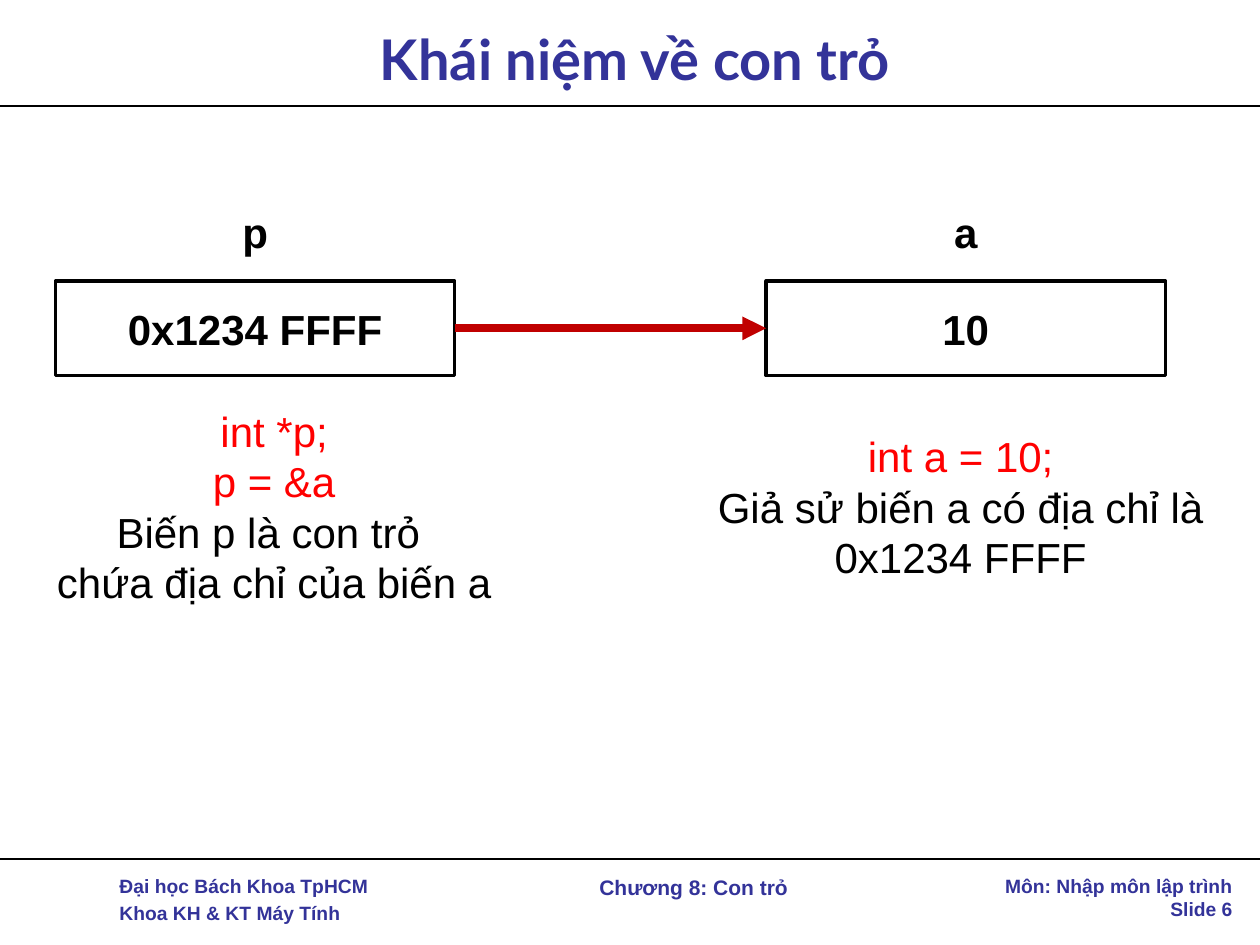
from lxml import etree
from pptx import Presentation
from pptx.dml.color import RGBColor
from pptx.enum import shapes, text
from pptx.oxml import ns
from pptx.util import Pt

BLACK = RGBColor(0x00, 0x00, 0x00)
WHITE = RGBColor(0xFF, 0xFF, 0xFF)
NAVY = RGBColor(0x33, 0x33, 0x99)
RED = RGBColor(0xFF, 0x00, 0x00)
DARK_RED = RGBColor(0xC0, 0x00, 0x00)
LEFT, CENTER, RIGHT = text.PP_ALIGN.LEFT, text.PP_ALIGN.CENTER, text.PP_ALIGN.RIGHT

presentation = Presentation()
presentation.slide_width, presentation.slide_height = Pt(720), Pt(540)
slide = presentation.slides.add_slide(presentation.slide_layouts[6])


def write(shape, lines, size, bold=True, align=CENTER, font="Arial",
          anchor=text.MSO_ANCHOR.TOP, space=0):
    """Fill a shape with one paragraph for each (wording, colour) line."""
    frame = shape.text_frame
    frame.word_wrap = True
    frame.vertical_anchor = anchor
    for index, (wording, color) in enumerate(lines):
        paragraph = frame.add_paragraph() if index else frame.paragraphs[0]
        paragraph.text = wording
        paragraph.alignment = align
        paragraph.space_before = Pt(space if index else 0)
        paragraph.font.name = font
        paragraph.font.size = Pt(size)
        paragraph.font.bold = bold
        paragraph.font.color.rgb = color


def add_line(x1, y1, x2, y2, color, width):
    line = slide.shapes.add_connector(
        shapes.MSO_CONNECTOR.STRAIGHT, Pt(x1), Pt(y1), Pt(x2), Pt(y2))
    line.line.color.rgb = color
    line.line.width = Pt(width)
    etree.SubElement(line._element.spPr, ns.qn("a:effectLst"))
    return line


# Footer
footers = [
    (61.2, 167.8, 36.7, 11, LEFT, 2.2, ["Đại học Bách Khoa TpHCM", "Khoa KH & KT Máy Tính"]),
    (563.8, 147.6, 33.8, 11, RIGHT, 0, ["Môn: Nhập môn lập trình", "Slide 6"]),
    (229, 334.8, 21.6, 12, CENTER, 0, ["Chương 8: Con trỏ"]),
]
for left, width, height, size, align, space, lines in footers:
    footer = slide.shapes.add_textbox(Pt(left), Pt(496), Pt(width), Pt(height))
    write(footer, [(line, NAVY) for line in lines], size, align=align, space=space)

# Rules above the footer and below the title
for y in (491, 60.5):
    add_line(0, y, 720, y, BLACK, 1)

# Title
title = slide.shapes.add_textbox(Pt(23.8), Pt(5.8), Pt(678.2), Pt(54.7))
write(title, [("Khái niệm về con trỏ", NAVY)], 32, font="Lato",
      anchor=text.MSO_ANCHOR.MIDDLE)

# Memory cells, each with its variable name centred above
cell_width, name_width = 228.2, 60.4
cells = []
for left, name, value in [(31.7, "p", "0x1234 FFFF"), (437.8, "a", "10")]:
    name_left = left + (cell_width - name_width) / 2
    for x, y, width, height, wording in [
        (name_left, 114.5, name_width, 35.3, name),
        (left, 160.6, cell_width, 54, value),
    ]:
        box = slide.shapes.add_shape(
            shapes.MSO_SHAPE.RECTANGLE, Pt(x), Pt(y), Pt(width), Pt(height))
        box.shadow.inherit = False
        box.fill.solid()
        box.fill.fore_color.rgb = WHITE
        write(box, [(wording, BLACK)], 24, anchor=text.MSO_ANCHOR.MIDDLE)
        if wording == value:
            box.line.color.rgb = BLACK
            box.line.width = Pt(2)
            cells.append(box)
        else:
            box.line.fill.background()

# Arrow from the pointer to the variable
pointer, variable = cells
arrow = add_line(259.9, 187.6, 437.8, 187.6, DARK_RED, 4.5)
arrow.begin_connect(pointer, 3)
arrow.end_connect(variable, 1)
etree.SubElement(arrow.line._get_or_add_ln(), ns.qn("a:tailEnd"), type="triangle")

# Explanations below the cells
explanations = [
    (23.8, 228.2, 265.7, 123.8, [
        ("int *p;", RED), ("p = &a", RED),
        ("Biến p là con trỏ ", BLACK), ("chứa địa chỉ của biến a", BLACK)]),
    (398.9, 242.6, 300.2, 94.3, [
        ("int a = 10;", RED),
        ("Giả sử biến a có địa chỉ là", BLACK), ("0x1234 FFFF", BLACK)]),
]
for left, top, width, height, lines in explanations:
    explanation = slide.shapes.add_textbox(Pt(left), Pt(top), Pt(width), Pt(height))
    write(explanation, lines, 24, bold=False)

presentation.save("out.pptx")
